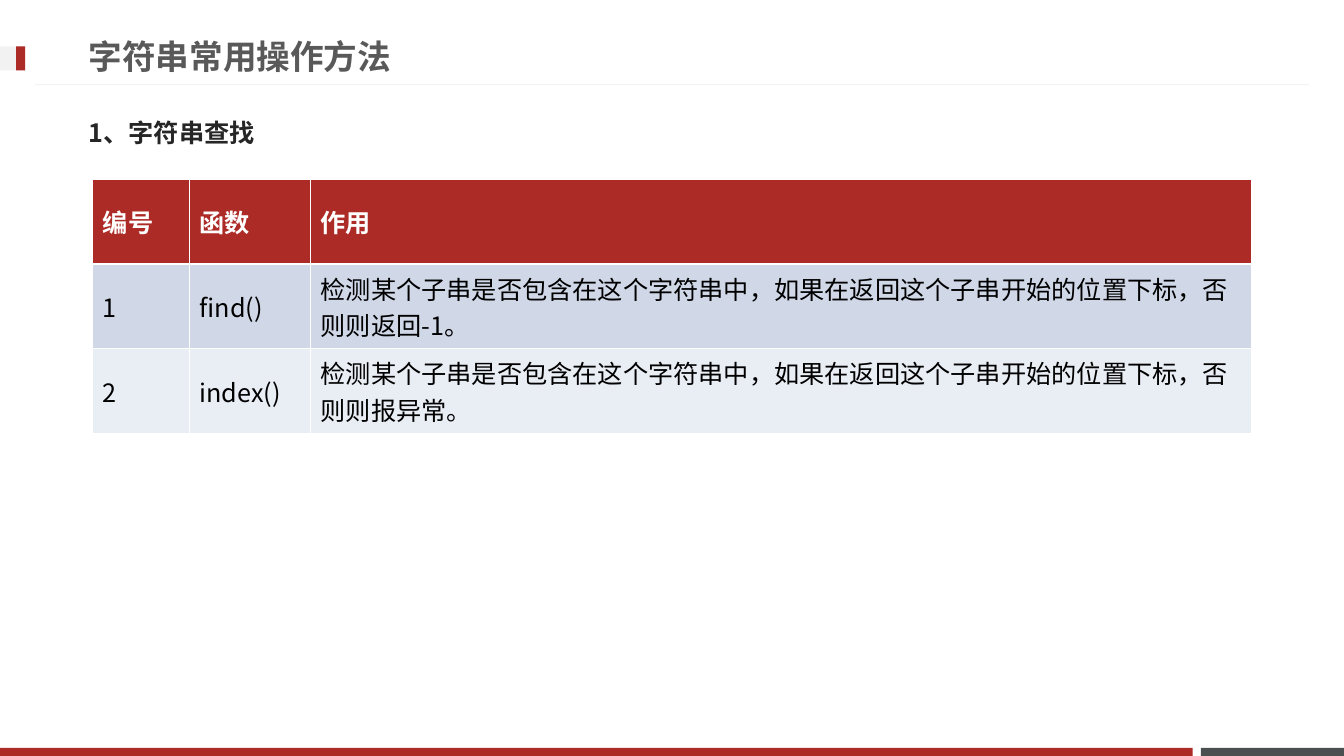
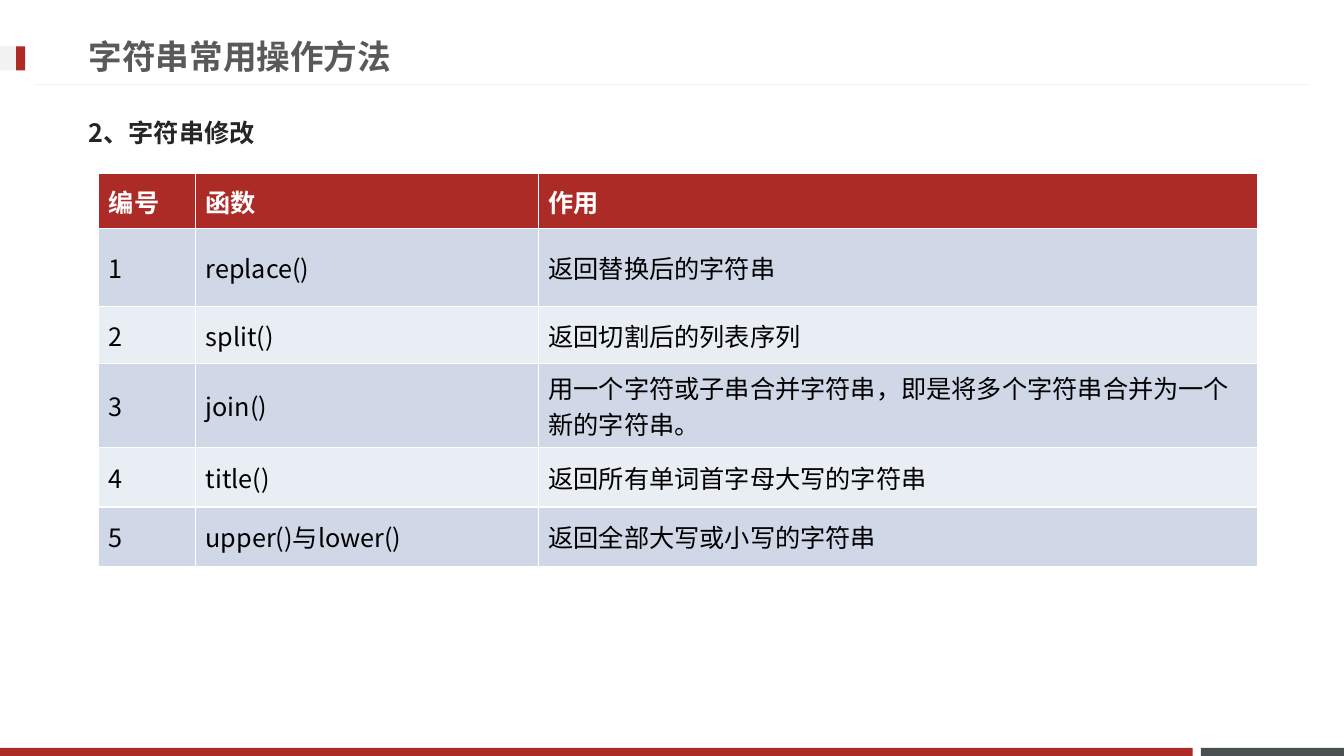
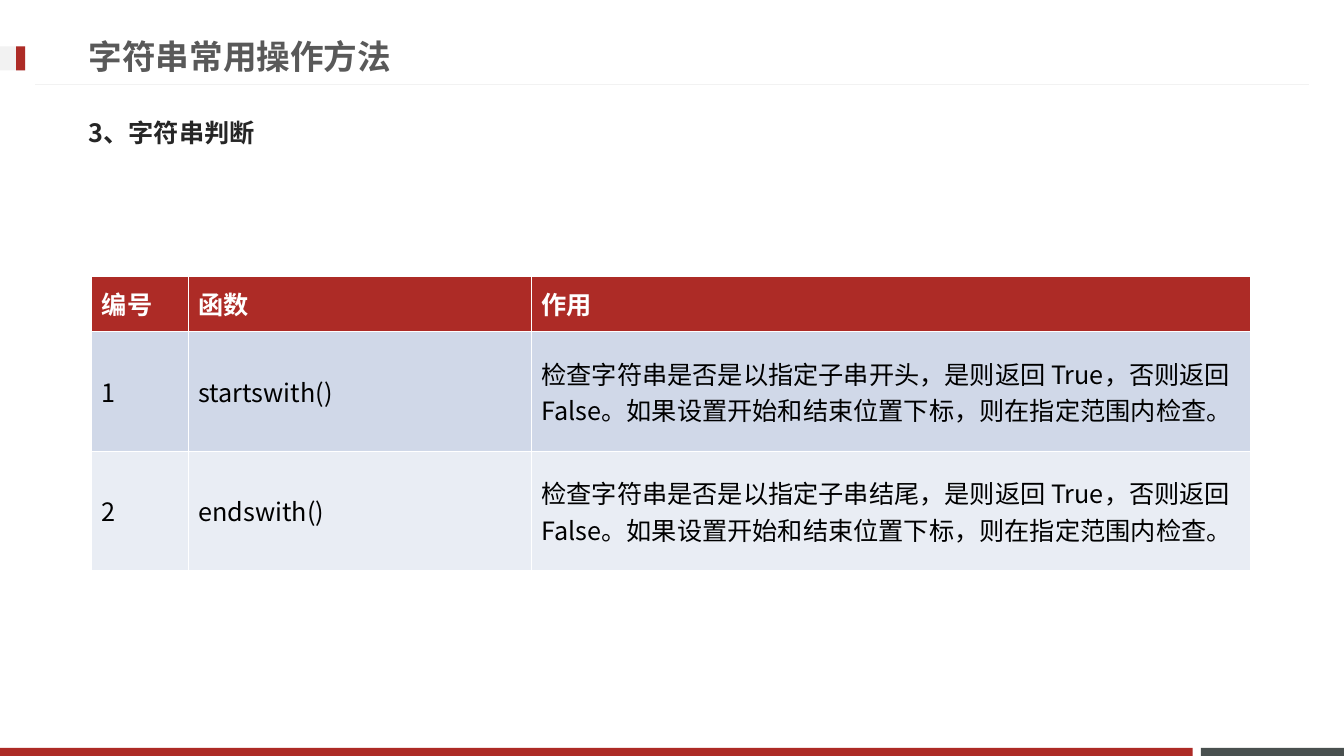
from lxml import etree
from pptx import Presentation
from pptx.dml.color import RGBColor
from pptx.enum import lang, shapes, text
from pptx.oxml import ns
from pptx.util import Inches, Pt

COLORS = {
    "red": "AD2B26", "slate": "49504F", "pale": "F2F2F2",
    "title": "595959", "heading": "262626",
    "white": "FFFFFF", "black": "000000",
    "odd_row": "D0D8E8", "even_row": "E9EDF4",
}
TITLE_FONT = "Roboto"
BODY_FONT = "Noto Sans CJK JP"
TITLE = "字符串常用操作方法"
HEADER = ("编号", "函数", "作用")

# One entry per slide: heading, table corner, column widths, row heights, rows
TOPICS = [
    ("1、字符串查找", (0.92, 1.78), (0.96, 1.2, 9.33), (0.84, 0.84, 0.84), [
        ("find()", "检测某个子串是否包含在这个字符串中，如果在返回这个子串开始的位置下标，否则则返回-1。"),
        ("index()", "检测某个子串是否包含在这个字符串中，如果在返回这个子串开始的位置下标，否则则报异常。"),
    ]),
    ("2、字符串修改", (0.98, 1.72), (0.96, 3.4, 7.13), (0.55, 0.77, 0.57, 0.83, 0.59, 0.59), [
        ("replace()", "返回替换后的字符串"),
        ("split()", "返回切割后的列表序列"),
        ("join()", "用一个字符或子串合并字符串，即是将多个字符串合并为一个新的字符串。"),
        ("title()", "返回所有单词首字母大写的字符串"),
        ("upper()与lower()", "返回全部大写或小写的字符串"),
    ]),
    ("3、字符串判断", (0.91, 2.74), (0.96, 3.4, 7.13), (0.55, 1.18, 1.18), [
        ("startswith()", "检查字符串是否是以指定子串开头，是则返回 True，否则返回 False。如果设置开始和结束位置下标，则在指定范围内检查。"),
        ("endswith()", "检查字符串是否是以指定子串结尾，是则返回 True，否则返回 False。如果设置开始和结束位置下标，则在指定范围内检查。"),
    ]),
]


def color(name):
    return RGBColor.from_string(COLORS[name])


def write(frame, words, size, color_name, bold, font=BODY_FONT):
    """Put one formatted paragraph into a text frame."""
    frame.text = words
    para = frame.paragraphs[0]
    para.alignment = text.PP_ALIGN.LEFT
    for span in para.runs:
        span.font.size = Pt(size)
        span.font.bold = bold
        span.font.name = font
        span.font.color.rgb = color(color_name)
        span.font.language_id = lang.MSO_LANGUAGE_ID.SIMPLIFIED_CHINESE
        # East Asian typeface follows the Latin one
        latin = span.font._element.find(ns.qn("a:latin"))
        east_asian = etree.Element(ns.qn("a:ea"), typeface=BODY_FONT)
        latin.addnext(east_asian)


def add_block(parent, left, top, width, height, fill):
    block = parent.add_shape(shapes.MSO_SHAPE.RECTANGLE, Inches(left), Inches(top),
                             Inches(width), Inches(height))
    block.shadow.inherit = False
    block.fill.solid()
    block.fill.fore_color.rgb = color(fill)
    block.line.fill.background()


def add_frame(page):
    """Footer bands, title rule and title marker."""
    add_block(page.shapes, 11.91, 7.42, 1.42, 0.08, "slate")
    add_block(page.shapes, 0, 7.42, 11.83, 0.08, "red")

    rule = page.shapes.add_connector(shapes.MSO_CONNECTOR.STRAIGHT, Inches(12.98),
                                     Inches(0.84), Inches(0.35), Inches(0.84))
    rule.line.color.rgb = color("pale")
    rule.line.width = Pt(0.75)
    etree.SubElement(rule._element.spPr, ns.qn("a:effectLst"))

    marker = page.shapes.add_group_shape()
    add_block(marker.shapes, 0, 0.46, 0.25, 0.24, "pale")
    add_block(marker.shapes, 0.16, 0.46, 0.09, 0.24, "red")


def add_headings(page, heading):
    title = page.shapes.title
    title.left, title.top = Inches(0.78), Inches(0.27)
    title.width, title.height = Inches(9.59), Inches(0.57)
    write(title.text_frame, TITLE, 24, "title", True, TITLE_FONT)

    subtitle = page.shapes.add_textbox(Inches(0.78), Inches(1.03), Inches(11.76), Inches(0.57))
    write(subtitle.text_frame, heading, 18, "heading", True)

    for box in (title, subtitle):
        box.text_frame.word_wrap = True
        box.text_frame.auto_size = text.MSO_AUTO_SIZE.NONE
        box.text_frame.vertical_anchor = text.MSO_ANCHOR.MIDDLE


def add_method_table(page, corner, widths, heights, methods):
    """Numbered table of methods; its white borders come from the default style."""
    rows = [HEADER] + [(str(number), *method) for number, method in enumerate(methods, 1)]
    left, top = corner
    table = page.shapes.add_table(len(rows), len(widths), Inches(left), Inches(top),
                                  Inches(sum(widths)), Inches(sum(heights))).table
    for column, width in zip(table.columns, widths):
        column.width = Inches(width)
    for index, (row, height, values) in enumerate(zip(table.rows, heights, rows)):
        row.height = Inches(height)
        is_header = index == 0
        fill = "red" if is_header else "odd_row" if index % 2 else "even_row"
        for cell, value in zip(row.cells, values):
            cell.fill.solid()
            cell.fill.fore_color.rgb = color(fill)
            cell.vertical_anchor = text.MSO_ANCHOR.MIDDLE
            write(cell.text_frame, value, 18, "white" if is_header else "black", is_header)


def main():
    deck = Presentation()
    deck.slide_width, deck.slide_height = Inches(13.33), Inches(7.5)
    title_only = deck.slide_layouts[5]
    for heading, corner, widths, heights, methods in TOPICS:
        page = deck.slides.add_slide(title_only)
        add_frame(page)
        add_headings(page, heading)
        add_method_table(page, corner, widths, heights, methods)
    deck.save("out.pptx")


if __name__ == "__main__":
    main()
